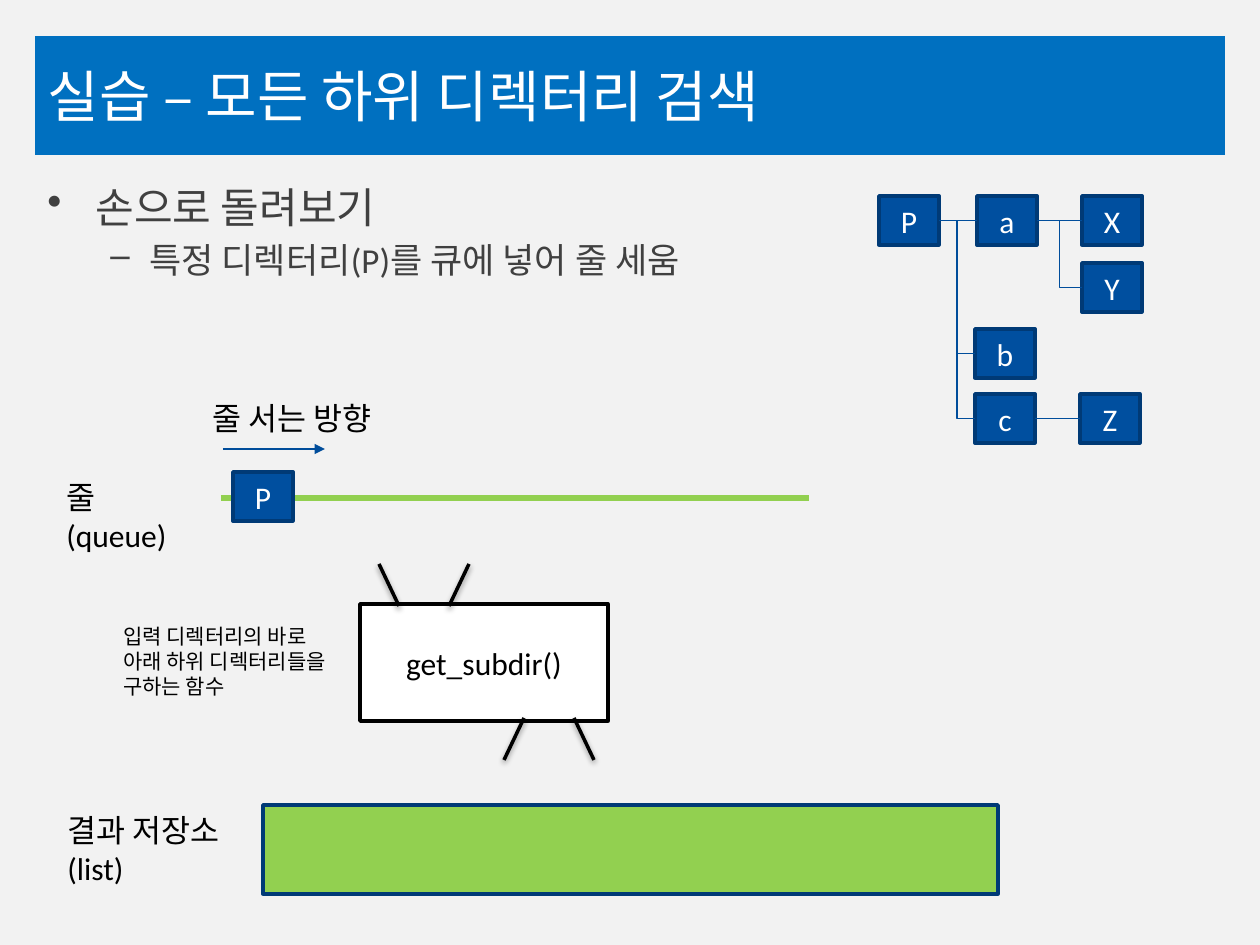
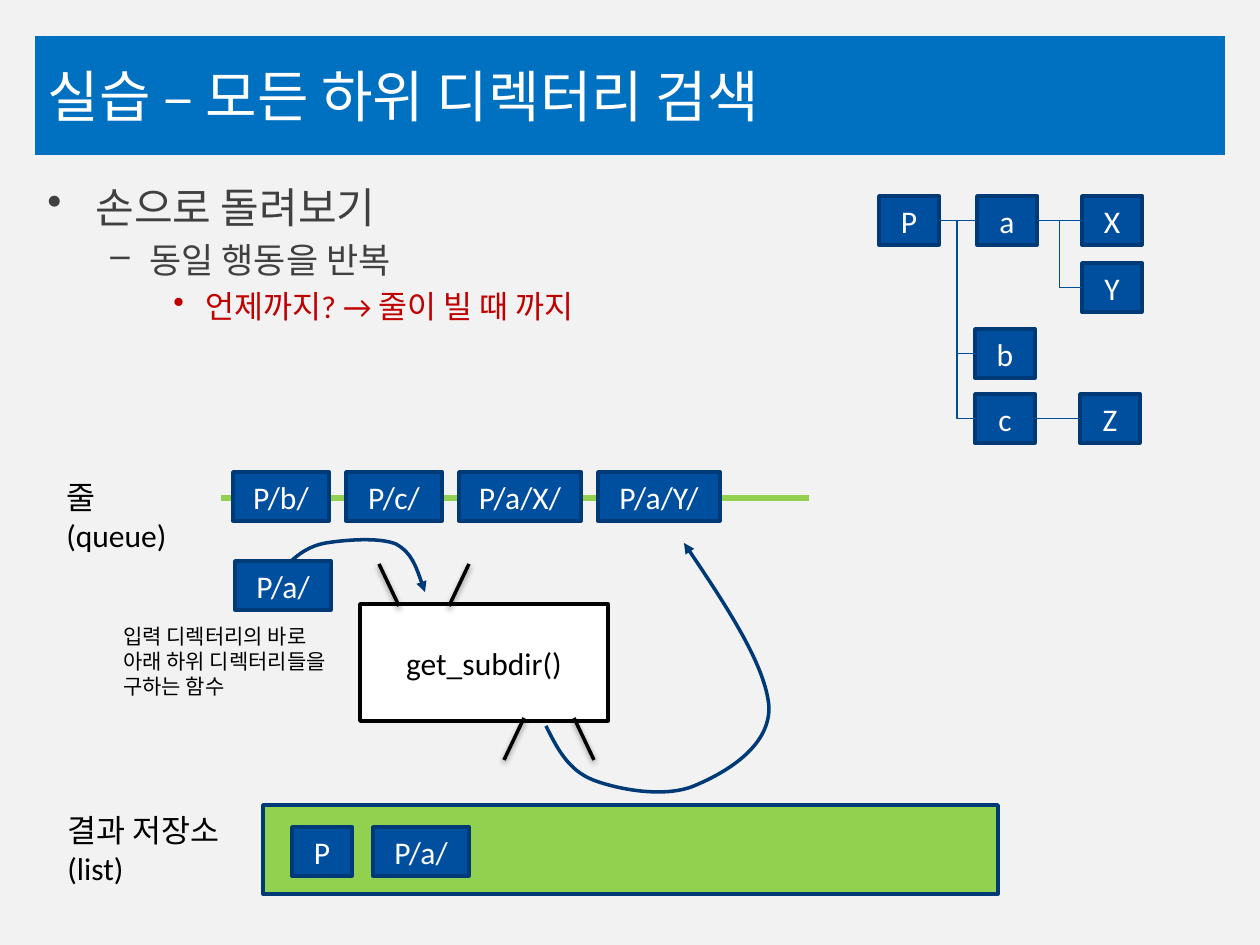
import pptx
import pptx.dml.color
import pptx.enum.shapes
import pptx.enum.text
import pptx.oxml
import pptx.oxml.ns
import pptx.util
from dataclasses import dataclass

PX = 914400 / 126
TITLE_BOX = (35, 36, 1190, 119)
BODY_BOX = (35, 175, 800, 240)
TREE_BOX = (879, 196, 264, 249)
DIRECTION_BOX = (200, 393, 199, 56)
QUEUE_BOX = (54, 472, 755, 89)
MACHINE_BOX = (360, 604, 248, 117)
NOTE_BOX = (111, 617, 248, 90)
STORE_BOX = (55, 805, 943, 89)

TILE_H = 49
TILE_WIDTHS = {1: 60, 4: 96, 6: 122}
TREE_NODES = {"P": (0, 0), "a": (98, 0), "X": (203, 0), "Y": (203, 67),
              "b": (96, 133), "c": (96, 198), "Z": (201, 198)}
TREE_LINKS = ["Pa", "aX", "aY", "Pb", "Pc", "cZ"]
INTO_MACHINE = [(290, 562), (299, 554), (309, 546), (326, 543), (344, 540),
                (379, 537), (396, 544), (412, 553), (418, 572), (425, 592)]
BACK_TO_QUEUE = [(546, 726), (557, 748), (568, 770), (593, 780), (619, 790),
                 (665, 798), (694, 786), (723, 774), (770, 748), (769, 707),
                 (766, 667), (726, 605), (684, 543)]


@dataclass(frozen=True)
class Theme:
    """Colours, fonts and type sizes of the deck."""
    page: str = "F2F2F2"
    band: str = "0070C0"
    white: str = "FFFFFF"
    black: str = "000000"
    grey: str = "404040"
    red: str = "C00000"
    tile: str = "004F9F"
    edge: str = "003A76"
    link: str = "004D9B"
    green: str = "92D050"
    title_font: str = "Lato"
    font: str = "Calibri"
    title_size: int = 32
    label_size: int = 18
    note_size: int = 12
    body_sizes: tuple = (24, 20, 18)
    indents: tuple = ((48, 48, "•"), (102, 39, "–"), (158, 32, "•"))


T = Theme()


def emu(*lengths):
    """Turn px into EMU."""
    return [pptx.util.Emu(round(v * PX)) for v in lengths]


def rgb(code):
    """Turn a hex code into a colour."""
    return pptx.dml.color.RGBColor.from_string(code)


def style_text(p, size, color, font=T.font):
    """Format every run of a paragraph."""
    for r in p.runs:
        r.font.name, r.font.size = font, pptx.util.Pt(size)
        r.font.color.rgb = rgb(color)


def style_line(line, color, width):
    """Set the colour and width of a line."""
    line.color.rgb = rgb(color)
    line.width = pptx.util.Pt(width)


def add_arrowhead(shape):
    """Put a triangle at the end of a line."""
    ln = shape.line._get_or_add_ln()
    ln.append(pptx.oxml.parse_xml(
        f'<a:tailEnd {pptx.oxml.ns.nsdecls("a")} type="triangle"/>'))


def add_text(shapes, box, lines, size):
    """Add a wrapped text box with one paragraph a line."""
    tf = shapes.add_textbox(*emu(*box)).text_frame
    tf.word_wrap = True
    tf.text = "\n".join(lines)
    for p in tf.paragraphs:
        style_text(p, size, T.black)
    return tf


def add_box(shapes, box, fill, edge, text="", color=T.white):
    """Add an outlined rectangle with centred text."""
    sp = shapes.add_shape(pptx.enum.shapes.MSO_SHAPE.RECTANGLE, *emu(*box))
    sp.shadow.inherit = False
    sp.fill.solid()
    sp.fill.fore_color.rgb = rgb(fill)
    style_line(sp.line, edge, 2)
    tf = sp.text_frame
    tf.margin_left = tf.margin_right = 0
    tf.vertical_anchor = pptx.enum.text.MSO_ANCHOR.MIDDLE
    p = tf.paragraphs[0]
    p.text = text
    p.alignment = pptx.enum.text.PP_ALIGN.CENTER
    style_text(p, T.label_size, color)
    return sp


def add_tile(shapes, x, y, text):
    """Add a directory tile as wide as its name needs."""
    box = (x, y, TILE_WIDTHS[len(text)], TILE_H)
    return add_box(shapes, box, T.tile, T.edge, text)


def add_tile_row(shapes, x, y, names, gap):
    """Add tiles from left to right with equal gaps."""
    for name in names:
        add_tile(shapes, x, y, name)
        x += TILE_WIDTHS[len(name)] + gap


def add_line(shapes, ends, color, width, kind="STRAIGHT", shadow=""):
    """Add a connector with an optional shadow."""
    cx = shapes.add_connector(
        pptx.enum.shapes.MSO_CONNECTOR[kind], *emu(*ends))
    style_line(cx.line, color, width)
    cx._element.spPr.append(pptx.oxml.parse_xml(
        f'<a:effectLst {pptx.oxml.ns.nsdecls("a")}>{shadow}</a:effectLst>'))
    return cx


def add_curve(shapes, points):
    """Add an arrow along cubic curves, three points a curve."""
    start, *rest = [tuple(emu(*pt)) for pt in points]
    fb = shapes.build_freeform(*start)
    fb.add_line_segments(rest, close=False)
    sp = fb.convert_to_shape()
    sp.shadow.inherit = False
    sp.fill.background()
    style_line(sp.line, T.edge, 2)
    add_arrowhead(sp)
    steps = list(sp._element.iter(pptx.oxml.ns.qn("a:lnTo")))
    for i in range(0, len(steps), 3):
        curve = pptx.oxml.parse_xml(
            f'<a:cubicBezTo {pptx.oxml.ns.nsdecls("a")}/>')
        steps[i].addprevious(curve)
        for step in steps[i:i + 3]:
            curve.append(step[0])
            step.getparent().remove(step)


def title_band(s, box, text):
    """Format the title placeholder as a coloured band."""
    sp = s.shapes.title
    sp.left, sp.top, sp.width, sp.height = emu(*box)
    sp.fill.solid()
    sp.fill.fore_color.rgb = rgb(T.band)
    tf = sp.text_frame
    tf.text = text
    tf.auto_size = pptx.enum.text.MSO_AUTO_SIZE.NONE
    tf.vertical_anchor = pptx.enum.text.MSO_ANCHOR.MIDDLE
    p = tf.paragraphs[0]
    p.alignment = pptx.enum.text.PP_ALIGN.LEFT
    style_text(p, T.title_size, T.white, T.title_font)


def body(s, box, lines):
    """Add bulleted lines, each one level deeper."""
    tf = add_text(s.shapes, box, lines, T.label_size)
    for level, p in enumerate(tf.paragraphs):
        size = T.body_sizes[level]
        left, hang, mark = T.indents[level]
        p.level = level
        p.space_before = pptx.util.Pt(size * 0.2)
        style_text(p, size, T.red if level == 2 else T.grey)
        pPr = p._p.get_or_add_pPr()
        pPr.set("marL", str(emu(left)[0]))
        pPr.set("indent", str(emu(-hang)[0]))
        pPr.append(pptx.oxml.parse_xml(
            f'<a:buChar {pptx.oxml.ns.nsdecls("a")} char="{mark}"/>'))


def directory_tree(s, box):
    """Draw the directory tree and its links."""
    shapes = s.shapes.add_group_shape().shapes
    nodes = {name: add_tile(shapes, box[0] + dx, box[1] + dy, name)
             for name, (dx, dy) in TREE_NODES.items()}
    for parent, child in TREE_LINKS:
        level = TREE_NODES[parent][1] == TREE_NODES[child][1]
        cx = add_line(shapes, (0, 0, 0, 0), T.link, 0.75,
                      "STRAIGHT" if level else "ELBOW")
        cx.begin_connect(nodes[parent], 3)
        cx.end_connect(nodes[child], 1)


def direction(s, box):
    """Label the direction of the queue with an arrow."""
    x, y, w, h = box
    add_text(s.shapes, (x, y, w, 50), ["줄 서는 방향"], T.label_size)
    cx = add_line(s.shapes, (x + 23, y + h, x + 125, y + h), T.link, 0.75)
    add_arrowhead(cx)


def queue(s, box, names):
    """Draw the queue line with its waiting tiles."""
    x, y, w, h = box
    add_text(s.shapes, (x, y, 166, h), ["줄\v(queue)"], T.label_size)
    add_line(s.shapes, (x + 167, y + 26, x + w, y + 26), T.green, 3)
    add_tile_row(s.shapes, x + 179, y, names, 17)


def machine(s, box):
    """Draw the function box with its inlet and outlet."""
    x, y, w, h = box
    shapes = s.shapes.add_group_shape().shapes
    add_box(shapes, box, T.white, T.black, "get_subdir()", T.black)
    shadow = ('<a:outerShdw blurRad="40000" dist="20000" dir="5400000" '
              f'rotWithShape="0"><a:srgbClr val="{T.black}">'
              '<a:alpha val="38000"/></a:srgbClr></a:outerShdw>')
    for centre, near, far in ((64, 2, -40), (189, h - 3, h + 39)):
        for side in (-1, 1):
            ends = (x + centre + side * 25, y + near,
                    x + centre + side * 45, y + far)
            add_line(shapes, ends, T.black, 2, shadow=shadow)


def result_store(s, box, names):
    """Draw the result list with its stored tiles."""
    x, y, w, h = box
    add_text(s.shapes, (x, y, 192, h), ["결과 저장소", "(list)"], T.label_size)
    add_box(s.shapes, (x + 208, y, w - 208, h), T.green, T.edge)
    add_tile_row(s.shapes, x + 237, y + 22, names, 21)


def search_slide(prs, lines, waiting, stored):
    """Build the parts that every search step shows."""
    s = prs.slides.add_slide(prs.slide_layouts[5])
    title_band(s, TITLE_BOX, "실습 – 모든 하위 디렉터리 검색")
    body(s, BODY_BOX, lines)
    directory_tree(s, TREE_BOX)
    queue(s, QUEUE_BOX, waiting)
    machine(s, MACHINE_BOX)
    result_store(s, STORE_BOX, stored)
    add_text(s.shapes, NOTE_BOX,
             ["입력 디렉터리의 바로 아래 하위 디렉터리들을 구하는 함수"],
             T.note_size)
    return s


def main():
    """Build and save the deck."""
    prs = pptx.Presentation()
    prs.slide_width, prs.slide_height = emu(1260, 945)
    fill = prs.slide_master.background.fill
    fill.solid()
    fill.fore_color.rgb = rgb(T.page)

    s = search_slide(
        prs, ["손으로 돌려보기", "특정 디렉터리(P)를 큐에 넣어 줄 세움"], ["P"], [])
    direction(s, DIRECTION_BOX)

    s = search_slide(
        prs,
        ["손으로 돌려보기", "동일 행동을 반복", "언제까지? → 줄이 빌 때 까지"],
        ["P/b/", "P/c/", "P/a/X/", "P/a/Y/"], ["P", "P/a/"])
    add_curve(s.shapes, INTO_MACHINE)
    add_curve(s.shapes, BACK_TO_QUEUE)
    add_tile(s.shapes, 235, 561, "P/a/")

    prs.save("out.pptx")


if __name__ == "__main__":
    main()
